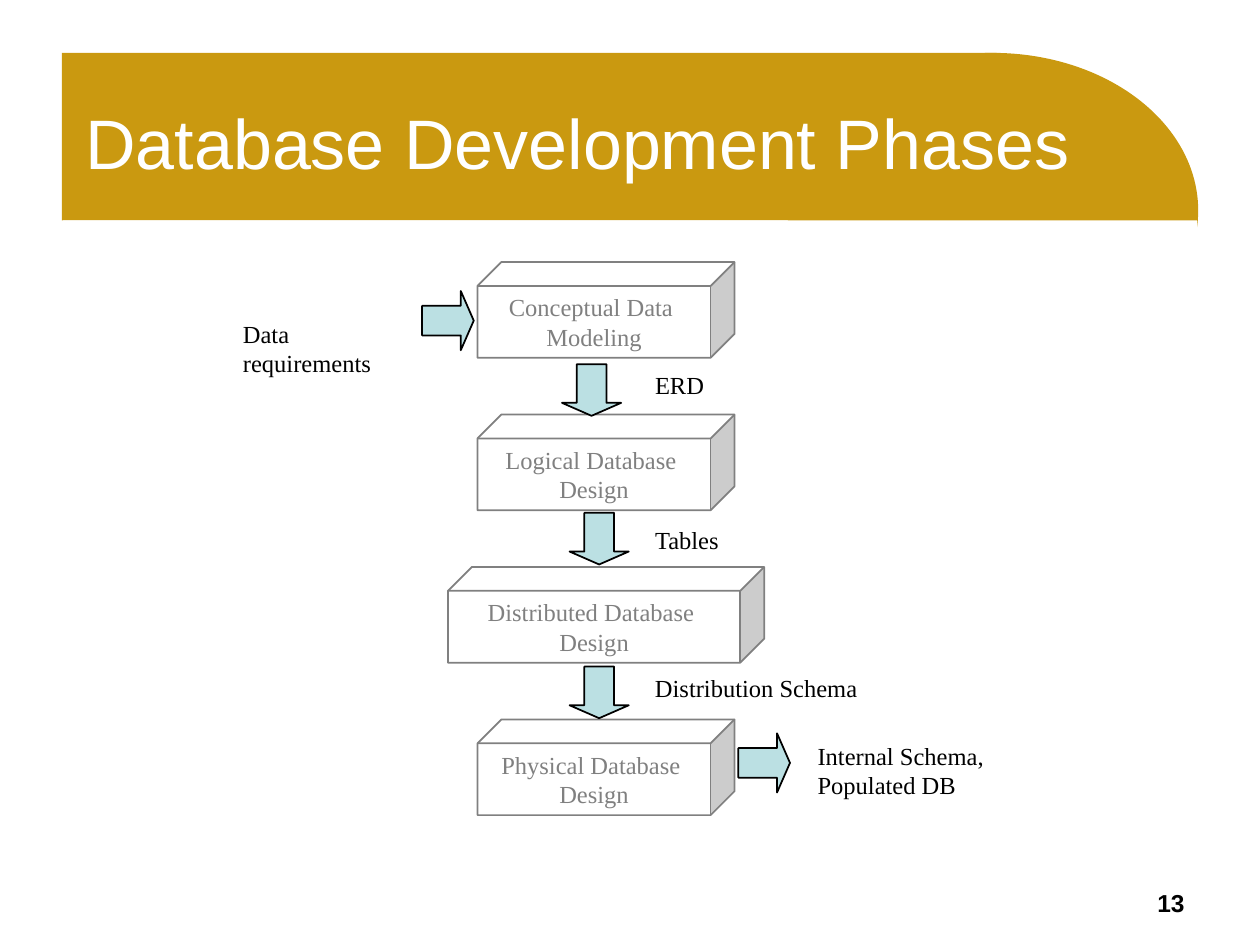
from pptx import Presentation
from pptx.dml.color import RGBColor
from pptx.enum.shapes import MSO_SHAPE
from pptx.enum.text import MSO_ANCHOR, PP_ALIGN
from pptx.util import Inches, Pt

RECTANGLE, ELLIPSE = MSO_SHAPE.RECTANGLE, MSO_SHAPE.OVAL
CUBE, ARROW = MSO_SHAPE.CUBE, MSO_SHAPE.RIGHT_ARROW
LEFT, CENTER, RIGHT = PP_ALIGN.LEFT, PP_ALIGN.CENTER, PP_ALIGN.RIGHT
TOP, MIDDLE = MSO_ANCHOR.TOP, MSO_ANCHOR.MIDDLE

GOLD = RGBColor(0xCA, 0x99, 0x10)
WHITE = RGBColor(0xFF, 0xFF, 0xFF)
BLACK = RGBColor(0x00, 0x00, 0x00)
GRAY = RGBColor(0x80, 0x80, 0x80)
PALE_BLUE = RGBColor(0xBB, 0xE0, 0xE3)

ARROW_WIDTH, ARROW_HEIGHT = 0.41, 0.47
CUBE_HEIGHT = 0.76
CUBE_CENTER = 4.81
FIRST_CUBE_TOP, CUBE_STEP = 2.08, 1.21


class SlideBuilder:
    """Holds the text style and the current slide."""

    heading_font = "Arial"
    body_font = "Times New Roman"
    body_size = 14

    def __init__(self, page):
        self.page = page

    def shape(self, kind, left, top, width, height, fill, line=None):
        shape = self.page.shapes.add_shape(
            kind, Inches(left), Inches(top), Inches(width), Inches(height))
        shape.shadow.inherit = False
        shape.fill.solid()
        shape.fill.fore_color.rgb = fill
        if line is None:
            shape.line.fill.background()
        else:
            shape.line.color.rgb = line
            shape.line.width = Pt(1)
        return shape

    def fill_text(self, frame, lines, color, font=body_font, size=body_size,
                  bold=False, align=LEFT, anchor=TOP, wrap=True):
        frame.word_wrap = wrap
        frame.vertical_anchor = anchor
        for index, line in enumerate(lines):
            para = frame.add_paragraph() if index else frame.paragraphs[0]
            para.alignment = align
            span = para.add_run()
            span.text = line
            span.font.name = font
            span.font.size = Pt(size)
            span.font.bold = bold
            span.font.color.rgb = color

    def text(self, content, left, top, width, height, color=BLACK, **style):
        box = self.page.shapes.add_textbox(
            Inches(left), Inches(top), Inches(width), Inches(height))
        self.fill_text(box.text_frame, [content], color, **style)

    def cube(self, lines, top, width):
        cube = self.shape(CUBE, CUBE_CENTER - width / 2, top,
                          width, CUBE_HEIGHT, WHITE, GRAY)
        cube.adjustments[0] = 0.25
        self.fill_text(cube.text_frame, lines, GRAY,
                       align=CENTER, anchor=MIDDLE, wrap=False)

    def arrow(self, left, top, rotation=0):
        arrow = self.shape(ARROW, left, top, ARROW_WIDTH, ARROW_HEIGHT,
                           PALE_BLUE, BLACK)
        arrow.adjustments[0] = 0.5
        arrow.adjustments[1] = 0.25
        arrow.rotation = rotation


def main():
    deck = Presentation()
    deck.slide_width, deck.slide_height = Inches(10), Inches(7.5)
    slide = SlideBuilder(deck.slides.add_slide(deck.slide_layouts[6]))

    # Title banner with a rounded right end
    slide.shape(RECTANGLE, 0.49, 0.42, 7.42, 1.33, GOLD)
    slide.shape(ELLIPSE, 6.25, 0.42, 3.26, 2.5, GOLD)
    slide.shape(RECTANGLE, 0.5, 1.75, 9, 5, WHITE)
    slide.text("Database Development Phases", 0.58, 0.5, 8.84, 1.25, WHITE,
               font=slide.heading_font, size=40, anchor=MIDDLE)

    # Phases, from top to bottom
    phases = [
        (["Conceptual Data ", "Modeling"], 2.04),
        (["Logical Database ", "Design"], 2.04),
        (["Distributed Database ", "Design"], 2.51),
        (["Physical Database ", "Design"], 2.04),
    ]
    for index, (lines, width) in enumerate(phases):
        slide.cube(lines, FIRST_CUBE_TOP + index * CUBE_STEP, width)

    # Arrows between phases, each with its result
    results = [
        ("ERD", 4.49, 2.86, 2.89, 0.82),
        ("Tables", 4.55, 4.04, 4.12, 0.82),
        ("Distribution Schema", 4.55, 5.26, 5.29, 2.16),
    ]
    for label, arrow_left, arrow_top, label_top, label_width in results:
        slide.arrow(arrow_left, arrow_top, rotation=90)
        slide.text(label, 5.1, label_top, label_width, 0.34)

    # Input and final output
    slide.arrow(3.35, 2.31)
    slide.text("Data requirements", 1.83, 2.48, 1.4, 0.57)
    slide.arrow(5.86, 5.82)
    slide.text("Internal Schema, Populated DB", 6.39, 5.83, 1.75, 0.57)

    # Page number
    slide.text("13", 7.15, 7, 2.35, 0.34, font=slide.heading_font,
               bold=True, align=RIGHT)

    deck.save("out.pptx")


if __name__ == "__main__":
    main()
